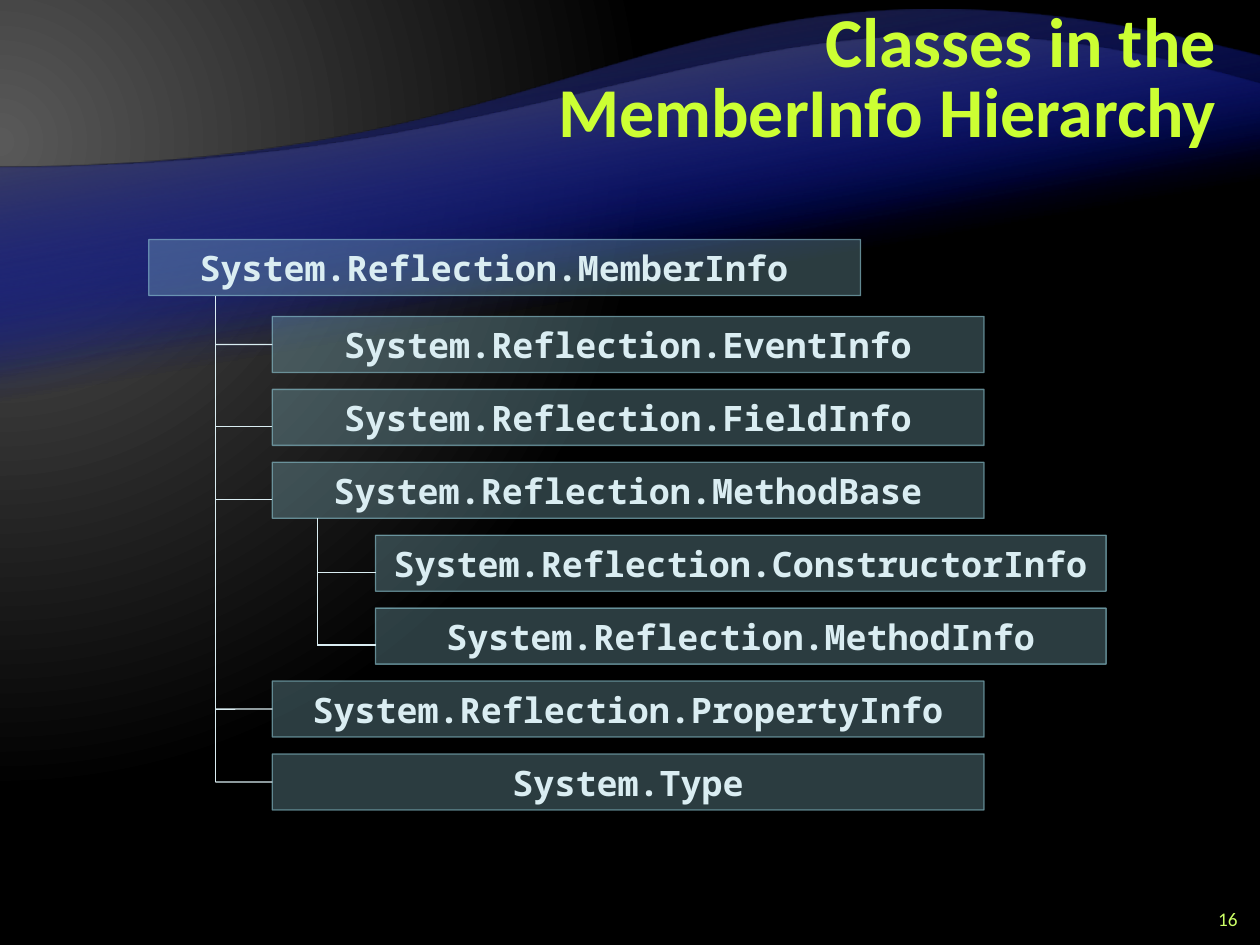
from lxml import etree
from pptx import Presentation
from pptx.dml.color import RGBColor
from pptx.enum.shapes import MSO_CONNECTOR, MSO_SHAPE
from pptx.enum.text import MSO_ANCHOR, MSO_AUTO_SIZE, PP_ALIGN
from pptx.oxml import parse_xml
from pptx.oxml.ns import qn
from pptx.util import Cm, Pt

STRAIGHT = MSO_CONNECTOR.STRAIGHT
RECTANGLE = MSO_SHAPE.RECTANGLE
MIDDLE = MSO_ANCHOR.MIDDLE
NO_AUTOFIT = MSO_AUTO_SIZE.NONE
CENTER, RIGHT = PP_ALIGN.CENTER, PP_ALIGN.RIGHT

LIME = RGBColor(0xCC, 0xFF, 0x33)
PALE_LIME = RGBColor(0xCC, 0xFF, 0x66)
TEAL = RGBColor(0x90, 0xCA, 0xD7)
ICE = RGBColor(0xDA, 0xED, 0xF2)
BLUE = RGBColor(0x00, 0x0D, 0x9E)
CHARCOAL = RGBColor(0x26, 0x26, 0x26)
GREY = RGBColor(0x59, 0x59, 0x59)
BLACK = RGBColor(0, 0, 0)

A_NS = "http://schemas.openxmlformats.org/drawingml/2006/main"
SLIDE_W, SLIDE_H = 25.4, 19.05

# Class boxes, in cm
BOX_H = 1.13
FIRST_ROW, ROW_PITCH = 6.38, 1.47
ROOT_LEFT, ROOT_TOP = 3.0, 4.83
CHILD_LEFT, CHILD_WIDTH = 5.49, 14.35
GRANDCHILD_LEFT, GRANDCHILD_WIDTH = 7.57, 14.73
ROOT_TRUNK, METHOD_TRUNK = 4.34, 6.4
BRANCH_DROP = 0.18

# Class name, whether it derives from MethodBase, branch distance below mid-side
CLASSES = [
    ("System.Reflection.EventInfo", False, 0),
    ("System.Reflection.FieldInfo", False, BRANCH_DROP),
    ("System.Reflection.MethodBase", False, BRANCH_DROP),
    ("System.Reflection.ConstructorInfo", True, BRANCH_DROP),
    ("System.Reflection.MethodInfo", True, BRANCH_DROP),
    ("System.Reflection.PropertyInfo", False, 0),
    ("System.Type", False, 0),
]

# Top, height, left edge level, second control point, start and end colour
WAVES = [
    (1.14, 15.45, 3.38, (13.56, -1.9), CHARCOAL),
    (1.7, 12.45, 3.38, (15.19, -1.24), GREY),
]


def gradient(stops, direction):
    """Gradient fill from (position, colour, alpha) in percent."""
    stops_xml = "".join(
        f'<a:gs pos="{pos * 1000}"><a:srgbClr val="{color}">'
        f'<a:alpha val="{alpha * 1000}"/></a:srgbClr></a:gs>'
        for pos, color, alpha in stops)
    return parse_xml(f'<a:gradFill xmlns:a="{A_NS}" rotWithShape="1">'
                     f"<a:gsLst>{stops_xml}</a:gsLst>{direction}</a:gradFill>")


def set_gradient(properties, fill):
    old = properties.find(qn("a:gradFill"))
    properties.replace(old, fill)


def set_alpha(color_format_parent, percent):
    color = next(color_format_parent.iter(qn("a:srgbClr")))
    etree.SubElement(color, qn("a:alpha")).set("val", str(percent * 1000))


def style_text(frame, size, font_name, color, align, bold=False):
    frame.vertical_anchor = MIDDLE
    frame.word_wrap = True
    frame.auto_size = NO_AUTOFIT
    paragraph = frame.paragraphs[0]
    paragraph.alignment = align
    font = paragraph.runs[0].font
    font.size, font.name, font.bold = Pt(size), font_name, bold
    font.color.rgb = color


def paint_background(slide):
    slide.background.fill.gradient()
    circle = ('<a:path path="circle"><a:fillToRect l="20000" t="30000" '
              'r="135000" b="100000"/></a:path>')
    fill = gradient([(0, GREY, 100), (83, BLACK, 100)], circle)
    set_gradient(slide.element.find(".//" + qn("p:bgPr")), fill)


def add_wave(slide, top, height, level, control, crest_color):
    """Add a half-turned panel whose lower edge becomes the curved crest."""
    bottom = top + height
    curve = [(SLIDE_W / 2, bottom - level),
             (SLIDE_W - control[0], bottom - control[1]),
             (0, height)]
    builder = slide.shapes.build_freeform(0, Cm(top))
    builder.add_line_segments([(Cm(SLIDE_W), Cm(top)),
                               (Cm(SLIDE_W), Cm(top + bottom - level)),
                               (0, Cm(bottom))])
    wave = builder.convert_to_shape()
    crest = wave._element.findall(".//" + qn("a:lnTo"))[2]
    bezier = etree.Element(qn("a:cubicBezTo"))
    for x, y in curve:
        point = etree.SubElement(bezier, qn("a:pt"))
        point.set("x", str(Cm(x)))
        point.set("y", str(Cm(y)))
    crest.getparent().replace(crest, bezier)
    wave.rotation = 180
    wave.shadow.inherit = False
    wave.line.fill.background()
    wave.fill.gradient()
    fill = gradient([(65, BLUE, 0), (100, crest_color, 100)],
                    '<a:lin ang="4800000" scaled="0"/>')
    set_gradient(wave._element.spPr, fill)
    slide.shapes.title._element.addprevious(wave._element)


def format_title(title):
    title.left, title.top = Cm(9.12), Cm(0.38)
    title.width, title.height = Cm(15.65), Cm(2.54)
    title.text_frame.text = "Classes in the MemberInfo Hierarchy"
    style_text(title.text_frame, 40, "Calibri", LIME, RIGHT, bold=True)
    title.text_frame.paragraphs[0].line_spacing = Pt(40)


def add_page_number(slide):
    number = slide.shapes.add_textbox(Cm(23.93), Cm(18.21), Cm(1.27), Cm(0.64))
    number.text_frame.text = "16"
    style_text(number.text_frame, 11, "Calibri", PALE_LIME, RIGHT)


def add_class_box(slide, name, left, top, width):
    box = slide.shapes.add_shape(RECTANGLE, Cm(left), Cm(top), Cm(width), Cm(BOX_H))
    box.shadow.inherit = False
    box.fill.solid()
    box.fill.fore_color.rgb = TEAL
    set_alpha(box._element.spPr.find(qn("a:solidFill")), 30)
    box.line.color.rgb = TEAL
    box.line.width = Pt(0.75)
    set_alpha(box._element.spPr.find(qn("a:ln")), 60)
    frame = box.text_frame
    frame.text = name
    frame.margin_top = frame.margin_bottom = 0
    style_text(frame, 20, "Noto Sans Mono", ICE, CENTER, bold=True)
    return box


def add_line(slide, x1, y1, x2, y2):
    line = slide.shapes.add_connector(STRAIGHT, Cm(x1), Cm(y1), Cm(x2), Cm(y2))
    line.line.color.rgb = ICE
    line.line.width = Pt(0.75)
    etree.SubElement(line._element.spPr, qn("a:effectLst"))
    return line


def add_hierarchy(slide):
    add_class_box(slide, "System.Reflection.MemberInfo ",
                  ROOT_LEFT, ROOT_TOP, CHILD_WIDTH)
    branch_ends = {}
    for row, (name, is_method, drop) in enumerate(CLASSES):
        top = FIRST_ROW + row * ROW_PITCH
        left = GRANDCHILD_LEFT if is_method else CHILD_LEFT
        width = GRANDCHILD_WIDTH if is_method else CHILD_WIDTH
        trunk = METHOD_TRUNK if is_method else ROOT_TRUNK
        box = add_class_box(slide, name, left, top, width)
        branch_y = top + BOX_H / 2 + drop
        branch = add_line(slide, trunk, branch_y, left, branch_y)
        if not drop:
            branch.end_connect(box, 1)
        branch_ends[trunk] = branch_y

    method_base_bottom = FIRST_ROW + 2 * ROW_PITCH + BOX_H
    add_line(slide, ROOT_TRUNK, ROOT_TOP + BOX_H, ROOT_TRUNK, branch_ends[ROOT_TRUNK])
    add_line(slide, METHOD_TRUNK, method_base_bottom,
             METHOD_TRUNK, branch_ends[METHOD_TRUNK])


def main():
    presentation = Presentation()
    presentation.slide_width, presentation.slide_height = Cm(SLIDE_W), Cm(SLIDE_H)
    slide = presentation.slides.add_slide(presentation.slide_layouts[5])
    paint_background(slide)
    for wave in WAVES * 2:
        add_wave(slide, *wave)
    format_title(slide.shapes.title)
    add_hierarchy(slide)
    add_page_number(slide)
    presentation.save("out.pptx")


if __name__ == "__main__":
    main()
